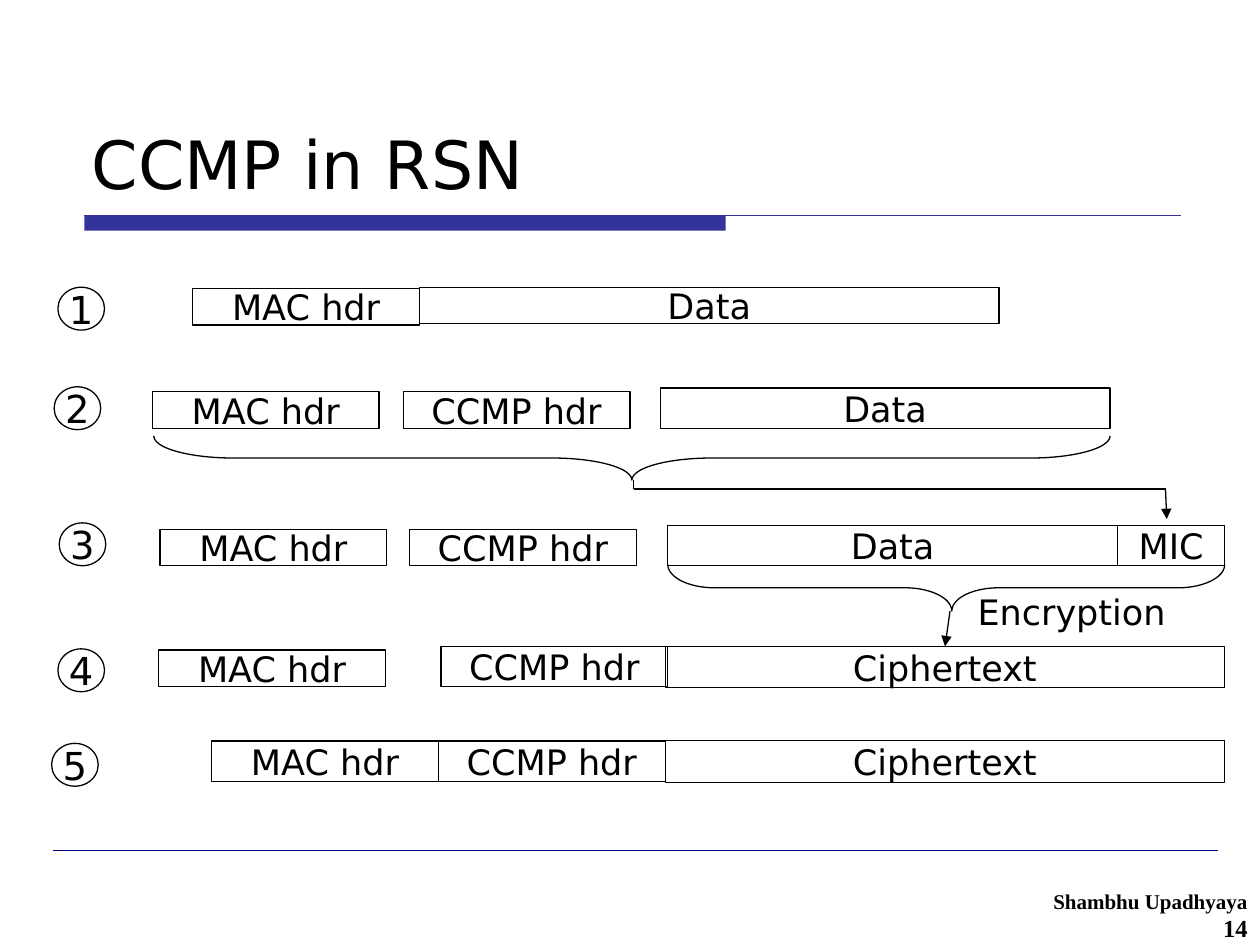
from lxml import etree
from pptx import Presentation
from pptx.dml.color import RGBColor
from pptx.enum.shapes import MSO_CONNECTOR, MSO_SHAPE
from pptx.enum.text import MSO_ANCHOR, PP_ALIGN
from pptx.oxml.ns import qn
from pptx.util import Inches, Pt

RECT, OVAL, BRACE = MSO_SHAPE.RECTANGLE, MSO_SHAPE.OVAL, MSO_SHAPE.LEFT_BRACE
LINE = MSO_CONNECTOR.STRAIGHT
LEFT, MID, RIGHT = PP_ALIGN.LEFT, PP_ALIGN.CENTER, PP_ALIGN.RIGHT
TOP, HALF, BASE = MSO_ANCHOR.TOP, MSO_ANCHOR.MIDDLE, MSO_ANCHOR.BOTTOM

COLORS = {"ink": "000000", "bar": "333399", "rule": "000080"}
SANS, SERIF = "DejaVu Sans", "Times New Roman"
HDR = 1.8

ROWS = [
    (0.46, 2.28, [("MAC hdr", 1.53, 2.29, HDR, 0.29), ("Data", 3.33, 2.28, 4.6, 0.29)]),
    (0.43, 3.07, [("MAC hdr", 1.21, 3.11, HDR, 0.29), ("CCMP hdr", 3.2, 3.11, HDR, 0.29),
                  ("Data", 5.24, 3.08, 3.57, 0.32)]),
    (0.47, 4.15, [("MAC hdr", 1.27, 4.2, HDR, 0.29), ("CCMP hdr", 3.25, 4.2, HDR, 0.29),
                  ("Data", 5.3, 4.17, 3.57, 0.32), ("MIC", 8.87, 4.17, 0.85, 0.32)]),
    (0.46, 5.15, [("MAC hdr", 1.26, 5.16, HDR, 0.29), ("CCMP hdr", 3.5, 5.13, HDR, 0.32),
                  ("Ciphertext", 5.28, 5.13, 4.44, 0.33)]),
    (0.41, 5.9, [("MAC hdr", 1.68, 5.88, HDR, 0.32), ("CCMP hdr", 3.48, 5.88, HDR, 0.32),
                 ("Ciphertext", 5.28, 5.88, 4.44, 0.33)]),
]


def color(name):
    return RGBColor.from_string(COLORS[name])


def write(frame, text, size=20, font=SANS, bold=False, align=MID, anchor=HALF, wrap=False, first=True):
    frame.word_wrap = wrap
    frame.vertical_anchor = anchor
    para = frame.paragraphs[0] if first else frame.add_paragraph()
    para.alignment = align
    run = para.add_run()
    run.text = text
    run.font.size = Pt(size)
    run.font.name = font
    run.font.bold = bold
    run.font.color.rgb = color("ink")


def draw(slide, kind, x, y, w, h):
    shape = slide.shapes.add_shape(kind, Inches(x), Inches(y), Inches(w), Inches(h))
    shape.shadow.inherit = False
    shape.fill.background()
    shape.line.color.rgb = color("ink")
    shape.line.width = Pt(0.75)
    return shape


def link(slide, x1, y1, x2, y2, hue="ink", width=0.75, arrow=False):
    line = slide.shapes.add_connector(LINE, Inches(x1), Inches(y1), Inches(x2), Inches(y2))
    line.line.color.rgb = color(hue)
    line.line.width = Pt(width)
    if arrow:
        etree.SubElement(line.line._get_or_add_ln(), qn("a:tailEnd"), type="triangle")
    etree.SubElement(line._element.spPr, qn("a:effectLst"))
    return line


def brace(slide, x, y, w, h, curve, tip):
    shape = draw(slide, BRACE, x + (w - h) / 2, y + (h - w) / 2, h, w)
    shape.rotation = 270
    shape.adjustments[0] = curve
    shape.adjustments[1] = tip


def label(slide, x, y, w, h):
    return slide.shapes.add_textbox(Inches(x), Inches(y), Inches(w), Inches(h)).text_frame


def head(slide, x, y, w, h):
    write(label(slide, x, y, w, h), "CCMP in RSN", size=38, align=LEFT, anchor=BASE, wrap=True)
    left, top = x + 0.04, y + h + 0.05
    bar = draw(slide, RECT, left, top, 5.09, 0.12)
    bar.fill.solid()
    bar.fill.fore_color.rgb = color("bar")
    bar.line.fill.background()
    link(slide, left, top, left + 8.7, top, hue="bar")


def foot(slide, x, y, w, h):
    link(slide, 0.42, y - 0.25, 9.67, y - 0.25, hue="rule", width=0.25)
    frame = label(slide, x, y, w, h)
    form = {"font": SERIF, "bold": True, "align": RIGHT, "anchor": TOP, "wrap": True}
    write(frame, "Shambhu Upadhyaya", size=12, **form)
    write(frame, "14", size=14, first=False, **form)


def row(slide, num, x, y, cells):
    write(draw(slide, OVAL, x, y, 0.37, 0.34).text_frame, str(num), size=22)
    boxes = []
    for text, *box in cells:
        shape = draw(slide, RECT, *box)
        write(shape.text_frame, text)
        boxes.append(shape)
    return boxes


def mic_flow(slide, x, y, w, h):
    brace(slide, x, y, w, h, 1.8, 0.5)
    tip, turn, end = 5.03, y + h + 0.07, 9.25
    link(slide, tip, y + h, tip, turn)
    link(slide, tip, turn, end, turn)
    link(slide, end, turn, end + 0.01, 4.12, arrow=True)


def crypt_flow(slide, x, y, w, h, goal):
    brace(slide, x, y, w, h, 1, 0.51)
    arrow = link(slide, 7.54, y + h, 7.54, 5.13, arrow=True)
    arrow.end_connect(goal, 0)
    write(label(slide, 7.66, 4.64, 1.78, 0.44), "Encryption", align=LEFT, anchor=TOP, wrap=True)


def main():
    deck = Presentation()
    deck.slide_width, deck.slide_height = Inches(10), Inches(7.5)
    slide = deck.slides.add_slide(deck.slide_layouts[6])
    head(slide, 0.63, 0.33, 8.75, 1.33)
    foot(slide, 7.75, 7, 2.25, 0.5)
    rows = [row(slide, num, *part) for num, part in enumerate(ROWS, 1)]
    mic_flow(slide, 1.22, 3.46, 7.59, 0.35)
    crypt_flow(slide, 5.3, 4.48, 4.42, 0.37, rows[3][-1])
    deck.save("out.pptx")


if __name__ == "__main__":
    main()
